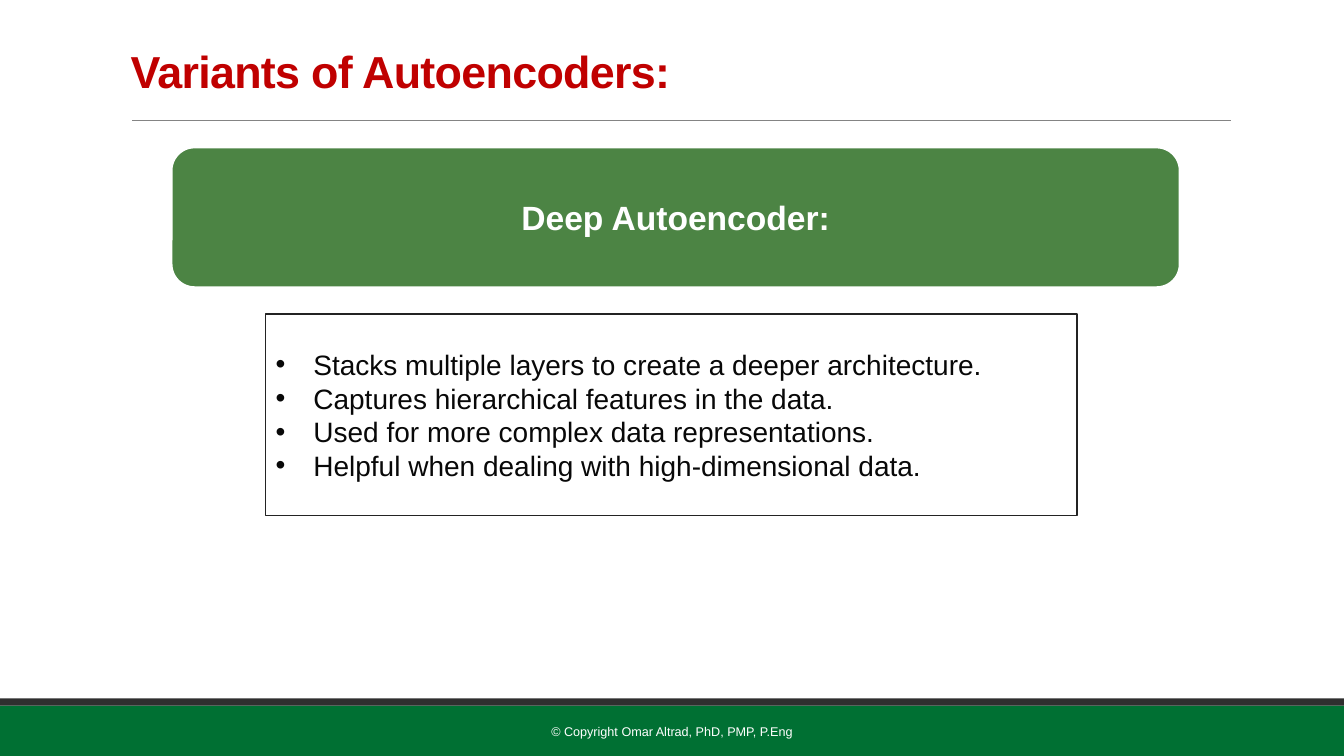
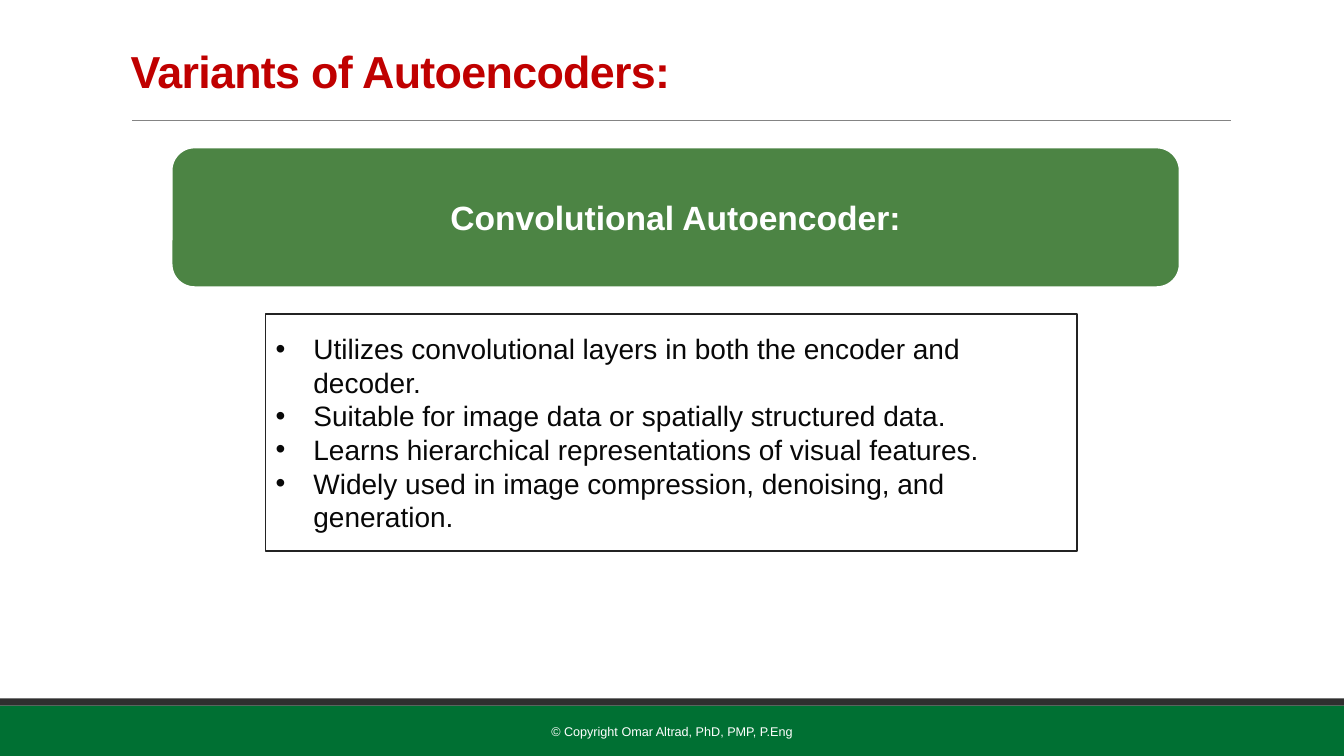
from dataclasses import dataclass

from lxml import etree
from pptx import Presentation
from pptx import util as u
from pptx.dml.color import RGBColor
from pptx.enum import shapes, text
from pptx.oxml import ns

EMU_PER_PX = 9525  # 96 px to the inch


@dataclass(frozen=True)
class Theme:
    font: str = "Arial"
    white: str = "FFFFFF"
    footer_green: str = "007033"
    stripe_grey: str = "2F2F2F"
    rule_grey: str = "848484"
    title_red: str = "C00000"
    banner_green: str = "4C8444"
    outline: str = "232323"
    body: str = "080808"
    title_size: int = 32
    banner_size: int = 24
    body_size: int = 20
    footer_size: int = 9


@dataclass(frozen=True)
class Area:
    left: int
    top: int
    width: int
    height: int

    def emu(self) -> tuple[u.Emu, ...]:
        return tuple(px(n) for n in (self.left, self.top, self.width, self.height))


@dataclass(frozen=True)
class TextStyle:
    size: int
    color: str
    bold: bool = False
    align: text.PP_ALIGN = text.PP_ALIGN.LEFT
    line_spacing: float | None = None
    tracking: int = 0  # hundredths of a point
    bullet_indent: int = 0


@dataclass(frozen=True)
class Variant:
    name: str
    points: tuple[str, ...]
    box_height: int


THEME = Theme()
CENTER = text.PP_ALIGN.CENTER
TITLE_STYLE = TextStyle(THEME.title_size, THEME.title_red, bold=True,
                        line_spacing=0.85, tracking=-50)
BANNER_STYLE = TextStyle(THEME.banner_size, THEME.white, bold=True, align=CENTER)
BODY_STYLE = TextStyle(THEME.body_size, THEME.body, bullet_indent=36)
FOOTER_STYLE = TextStyle(THEME.footer_size, THEME.white, align=CENTER)

SLIDE_WIDTH, SLIDE_HEIGHT = 1280, 720
FOOTER_HEIGHT, STRIPE_HEIGHT = 48, 7
FOOTER_TOP = SLIDE_HEIGHT - FOOTER_HEIGHT
RULE_LEFT, RULE_RIGHT, RULE_TOP = 126, 1172, 115

TITLE = "Variants of Autoencoders:"
COPYRIGHT = "© Copyright Omar Altrad, PhD, PMP, P.Eng"
VARIANTS = (
    Variant("Deep Autoencoder:", (
        "Stacks multiple layers to create a deeper architecture.",
        "Captures hierarchical features in the data.",
        "Used for more complex data representations.",
        "Helpful when dealing with high-dimensional data.",
    ), 192),
    Variant("Convolutional Autoencoder:", (
        "Utilizes convolutional layers in both the encoder and decoder.",
        "Suitable for image data or spatially structured data.",
        "Learns hierarchical representations of visual features.",
        "Widely used in image compression, denoising, and generation.",
    ), 226),
)


def px(length: int) -> u.Emu:
    return u.Emu(length * EMU_PER_PX)


def add_bullet(para, indent: int) -> None:
    properties = para._p.get_or_add_pPr()
    properties.set("marL", str(px(indent)))
    properties.set("indent", str(-px(indent)))
    etree.SubElement(properties, ns.qn("a:buFont")).set("typeface", THEME.font)
    etree.SubElement(properties, ns.qn("a:buChar")).set("char", "•")


def write(shape, lines: tuple[str, ...], style: TextStyle) -> None:
    frame = shape.text_frame
    frame.word_wrap = True
    frame.vertical_anchor = text.MSO_ANCHOR.MIDDLE
    for index, line in enumerate(lines):
        para = frame.add_paragraph() if index else frame.paragraphs[0]
        if style.bullet_indent:
            add_bullet(para, style.bullet_indent)
        para.alignment = style.align
        if style.line_spacing:
            para.line_spacing = style.line_spacing
        para.font.name = THEME.font
        para.font.size = u.Pt(style.size)
        para.font.bold = style.bold
        para.font.color.rgb = RGBColor.from_string(style.color)
        span = para.add_run()
        span.text = line
        if style.tracking:
            span._r.get_or_add_rPr().set("spc", str(style.tracking))


def add_text(page, area: Area, line: str, style: TextStyle) -> None:
    write(page.shapes.add_textbox(*area.emu()), (line,), style)


def add_block(page, area: Area, fill: str, outline: str | None = None,
              outline_width: float = 0,
              kind: shapes.MSO_SHAPE = shapes.MSO_SHAPE.RECTANGLE):
    block = page.shapes.add_shape(kind, *area.emu())
    block.shadow.inherit = False
    block.fill.solid()
    block.fill.fore_color.rgb = RGBColor.from_string(fill)
    if outline:
        block.line.color.rgb = RGBColor.from_string(outline)
        block.line.width = u.Pt(outline_width)
    else:
        block.line.fill.background()
    return block


def add_title_rule(page) -> None:
    rule = page.shapes.add_connector(
        shapes.MSO_CONNECTOR.STRAIGHT,
        px(RULE_LEFT), px(RULE_TOP), px(RULE_RIGHT), px(RULE_TOP))
    rule.line.color.rgb = RGBColor.from_string(THEME.rule_grey)
    rule.line.width = u.Pt(0.5)
    etree.SubElement(rule._element.spPr, ns.qn("a:effectLst"))


def add_frame(page) -> None:
    """Draw the bands, title and footer that every slide shares."""
    add_block(page, Area(0, FOOTER_TOP, SLIDE_WIDTH, FOOTER_HEIGHT), THEME.footer_green)
    add_block(page, Area(0, FOOTER_TOP - STRIPE_HEIGHT, SLIDE_WIDTH, STRIPE_HEIGHT),
              THEME.stripe_grey)
    add_title_rule(page)
    add_text(page, Area(115, 30, 1056, 83), TITLE, TITLE_STYLE)
    add_text(page, Area(387, 678, 506, 38), COPYRIGHT, FOOTER_STYLE)


def add_variant(page, variant: Variant) -> None:
    banner = add_block(page, Area(163, 140, 961, 134), THEME.banner_green,
                       THEME.white, 2, shapes.MSO_SHAPE.ROUNDED_RECTANGLE)
    write(banner, (variant.name,), BANNER_STYLE)
    box = add_block(page, Area(253, 299, 773, variant.box_height), THEME.white,
                    THEME.outline, 1.25)
    write(box, variant.points, BODY_STYLE)


def main() -> None:
    deck = Presentation()
    deck.slide_width, deck.slide_height = px(SLIDE_WIDTH), px(SLIDE_HEIGHT)
    blank = deck.slide_layouts[6]
    for variant in VARIANTS:
        page = deck.slides.add_slide(blank)
        add_frame(page)
        add_variant(page, variant)
    deck.save("out.pptx")


if __name__ == "__main__":
    main()
